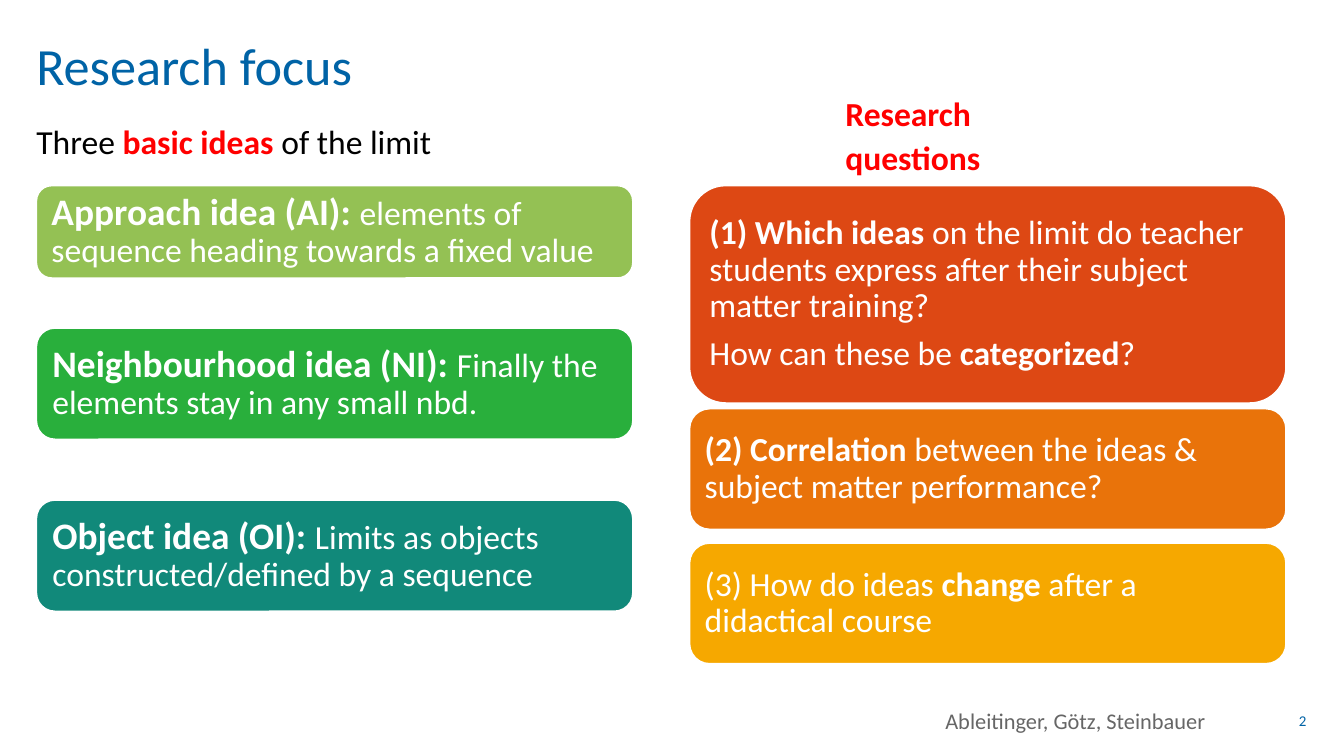
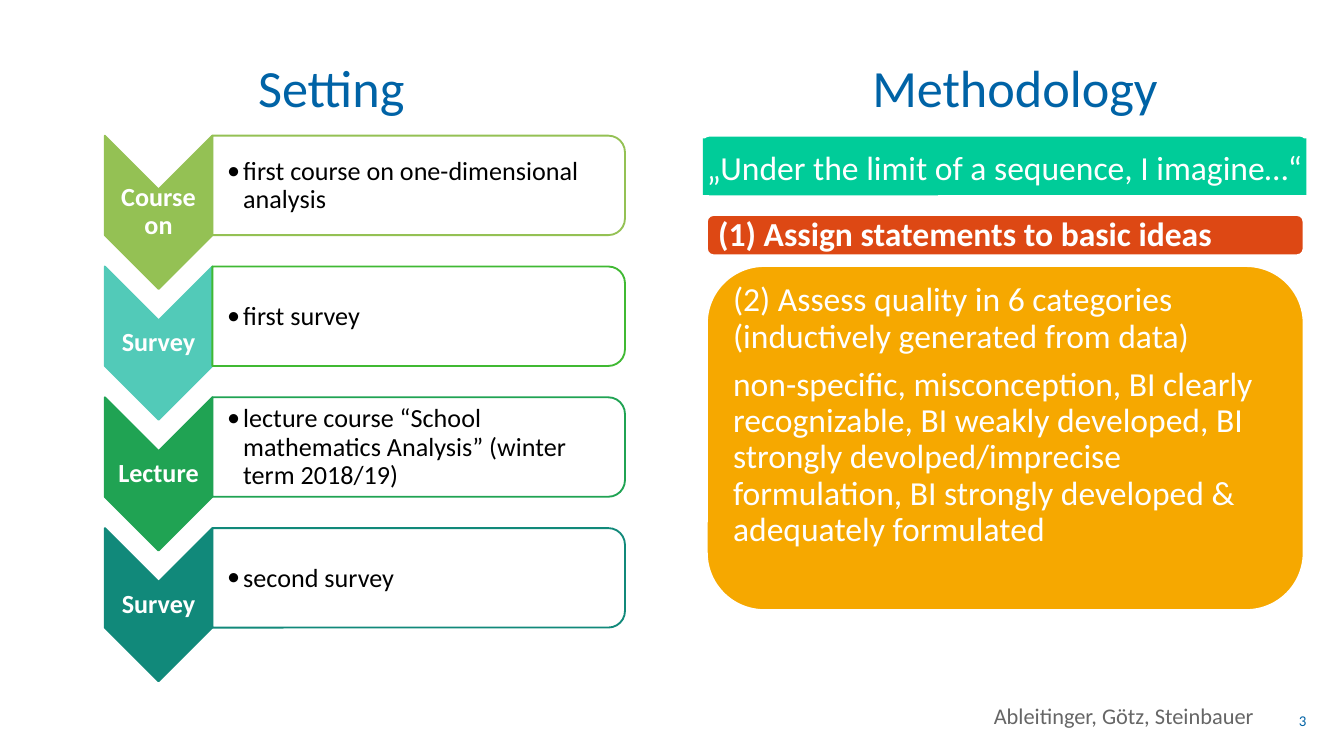
from dataclasses import dataclass

from lxml import etree
from pptx import Presentation
from pptx.dml.color import RGBColor
from pptx.enum.shapes import MSO_SHAPE
from pptx.enum.text import MSO_ANCHOR, MSO_AUTO_SIZE, PP_ALIGN
from pptx.oxml.ns import qn
from pptx.util import Inches, Pt

LEFT, CENTER, RIGHT = PP_ALIGN.LEFT, PP_ALIGN.CENTER, PP_ALIGN.RIGHT
TOP, MIDDLE = MSO_ANCHOR.TOP, MSO_ANCHOR.MIDDLE
ROUNDED, RECTANGLE = MSO_SHAPE.ROUNDED_RECTANGLE, MSO_SHAPE.RECTANGLE
CHEVRON, PANEL = MSO_SHAPE.CHEVRON, MSO_SHAPE.ROUND_2_SAME_RECTANGLE


@dataclass(frozen=True)
class Theme:
    font: str = "Calibri"
    blue: str = "0063A6"
    black: str = "000000"
    white: str = "FFFFFF"
    red: str = "FF0000"
    gray: str = "666666"
    lime: str = "94C154"
    green: str = "29AF3C"
    leaf: str = "40B933"
    emerald: str = "20A353"
    aqua: str = "52CAB8"
    teal: str = "11897A"
    mint: str = "00CC99"
    vermilion: str = "DD4814"
    orange: str = "E9730A"
    amber: str = "F6A800"
    title_size: int = 28
    lead_size: int = 20
    body_size: int = 18
    step_size: int = 14
    footer_size: int = 12
    number_size: int = 8


THEME = Theme()
BOLD = {"bold": True}
LEAD = {"bold": True, "size": THEME.lead_size}
ACCENT = {"bold": True, "color": THEME.red}

# Content: a paragraph is a list of (text, format) runs
AUTHORS = "Ableitinger, Götz, Steinbauer"

IDEAS_HEADING = [("Three ", {}), ("basic ideas ", ACCENT), ("of the limit", {})]
QUESTIONS_HEADING = [("Research questions", ACCENT)]

# Cards: top, height, colour, paragraphs
IDEAS = [
    (1.38, 0.69, THEME.lime, [[
        ("Approach idea (AI): ", LEAD),
        ("elements of sequence heading towards a fixed value", {})]]),
    (2.44, 0.83, THEME.green, [[
        ("Neighbourhood idea (NI): ", LEAD),
        ("Finally the elements stay in any small nbd.", {})]]),
    (3.72, 0.83, THEME.teal, [[
        ("Object idea (OI): ", LEAD),
        ("Limits as objects constructed/defined by a sequence", {})]]),
]
QUESTIONS = [
    (1.38, 1.62, THEME.vermilion, [
        [("(1) Which ideas ", BOLD),
         ("on the limit do teacher students express after their subject "
          "matter training?", {})],
        [("How can these be ", {}), ("categorized", BOLD), ("?", {})]]),
    (3.04, 0.9, THEME.orange, [[
        ("(2) Correlation ", BOLD),
        ("between the ideas & subject matter performance?", {})]]),
    (4.04, 0.9, THEME.amber, [[
        ("(3) How do ideas ", {}), ("change ", BOLD),
        ("after a didactical course", {})]]),
]

# Steps: label, description, chevron colour, panel outline
STEPS = [
    ("Course on", "first course on one-dimensional analysis",
     THEME.lime, THEME.lime),
    ("Survey", "first survey", THEME.aqua, THEME.leaf),
    ("Lecture", "lecture course “School mathematics Analysis” (winter term 2018/19)",
     THEME.emerald, THEME.emerald),
    ("Survey", "second survey", THEME.teal, THEME.teal),
]
PROMPT = "„Under the limit of a sequence, I imagine…“"
ASSIGN = [[("(1) Assign statements to basic ideas", BOLD)]]
ASSESS = [
    [("(2) Assess quality in 6 categories (inductively generated from data)", {})],
    [("non-specific, misconception, BI clearly recognizable, BI weakly developed, "
      "BI strongly devolped/imprecise formulation, BI strongly developed & "
      "adequately formulated", {})],
]

# Layout in inches
CARD_WIDTH = 4.44
STEP_LEFT, STEP_TOP, STEP_PITCH = 0.78, 1.01, 2.92 / 3


def rgb(color):
    return RGBColor.from_string(color)


def write(shape, paragraphs, size=THEME.body_size, color=THEME.black, align=LEFT,
          anchor=TOP, insets=(0, 0, 0, 0), line_spacing=None, after=0):
    """Fill a shape with paragraphs; run formats override size and colour."""
    frame = shape.text_frame
    frame.word_wrap = True
    frame.auto_size = MSO_AUTO_SIZE.NONE
    frame.vertical_anchor = anchor
    (frame.margin_left, frame.margin_top,
     frame.margin_right, frame.margin_bottom) = map(Inches, insets)
    for index, runs in enumerate(paragraphs):
        paragraph = frame.add_paragraph() if index else frame.paragraphs[0]
        paragraph.alignment = align
        paragraph.line_spacing = line_spacing
        paragraph.space_before = Pt(0)
        paragraph.space_after = Pt(after)
        for text, style in runs:
            run = paragraph.add_run()
            run.text = text
            run.font.name = THEME.font
            run.font.size = Pt(style.get("size", size))
            run.font.bold = style.get("bold", False)
            run.font.color.rgb = rgb(style.get("color", color))


def add_text(slide, box, paragraphs, **style):
    shape = slide.shapes.add_textbox(*map(Inches, box))
    write(shape, paragraphs, **style)
    return shape


def add_block(slide, kind, box, fill, line=None):
    shape = slide.shapes.add_shape(kind, *map(Inches, box))
    shape.shadow.inherit = False
    shape.fill.solid()
    shape.fill.fore_color.rgb = rgb(fill)
    if line:
        shape.line.color.rgb = rgb(line)
        shape.line.width = Pt(1)
    else:
        shape.line.fill.background()
    return shape


def add_turned(slide, kind, box, fill, line):
    """Add a shape turned by 90 degrees that covers the given box."""
    left, top, width, height = box
    shift = (width - height) / 2
    shape = add_block(slide, kind, (left + shift, top - shift, height, width), fill, line)
    shape.rotation = 90
    return shape


def add_card(slide, box, color, paragraphs, inset=0.07, anchor=MIDDLE, top_inset=None):
    card = add_block(slide, ROUNDED, box, color, THEME.white)
    top = inset if top_inset is None else top_inset
    write(card, paragraphs, color=THEME.white, anchor=anchor,
          insets=(inset, top, inset, inset), line_spacing=0.9, after=6.3)


def set_opacity(shape, percent):
    color = shape.fill._xPr.find(qn("a:solidFill"))[0]
    etree.SubElement(color, qn("a:alpha")).set("val", str(percent * 1000))


def set_bullet(paragraph, indent):
    properties = paragraph._p.get_or_add_pPr()
    properties.set("marL", str(Inches(indent)))
    properties.set("indent", str(-Inches(indent)))
    etree.SubElement(properties, qn("a:buFont")).set("typeface", THEME.font)
    etree.SubElement(properties, qn("a:buChar")).set("char", "•")


def write_title(shape, text):
    write(shape, [[(text, {})]], size=THEME.title_size, color=THEME.blue,
          line_spacing=Pt(31))


def start_slide(presentation, title, title_box, number, footer_box):
    """Add a slide with the shared title style, footer and slide number."""
    slide = presentation.slides.add_slide(presentation.slide_layouts[5])
    shape = slide.shapes.title
    shape.left, shape.top, shape.width, shape.height = map(Inches, title_box)
    write_title(shape, title)
    add_text(slide, footer_box, [[(AUTHORS, {})]], size=THEME.footer_size,
             color=THEME.gray, align=RIGHT, anchor=MIDDLE)
    add_text(slide, (9.33, 5.21, 0.39, 0.3), [[(number, {})]],
             size=THEME.number_size, color=THEME.blue, align=RIGHT, anchor=MIDDLE,
             insets=(0.1, 0.05, 0, 0.05))
    return slide


def build_focus(presentation):
    slide = start_slide(presentation, "Research focus", (0.27, 0.28, 2.52, 0.5),
                        "2", (1.38, 5.21, 7.59, 0.3))
    # Column headings
    for box, runs in [((0.27, 0.87, 4.25, 0.42), IDEAS_HEADING),
                      ((6.29, 0.66, 1.97, 0.42), QUESTIONS_HEADING)]:
        add_text(slide, box, [runs], line_spacing=1.1, after=3.8)
    # Card columns
    for left, inset, cards in [(0.27, 0.08, IDEAS), (5.13, 0.07, QUESTIONS)]:
        for top, height, color, paragraphs in cards:
            add_card(slide, (left, top, CARD_WIDTH, height), color, paragraphs, inset)


def build_setting(presentation):
    slide = start_slide(presentation, "Setting", (1.92, 0.45, 1.59, 0.42),
                        "3", (1.74, 5.21, 7.59, 0.23))
    # Survey steps
    for index, (label, description, color, outline) in enumerate(STEPS):
        top = STEP_TOP + index * STEP_PITCH
        add_turned(slide, CHEVRON, (STEP_LEFT, top, 0.8, 1.14), color, color)
        add_text(slide, (STEP_LEFT, top + 0.4, 0.8, 0.34), [[(label, BOLD)]],
                 size=THEME.step_size, color=THEME.white, align=CENTER,
                 anchor=MIDDLE, insets=(0.01,) * 4, line_spacing=0.9)
        panel = add_turned(slide, PANEL, (1.58, top, 3.07, 0.74), THEME.white, outline)
        set_opacity(panel, 90)
        text = add_text(slide, (1.58, top + 0.04, 3.03, 0.67), [[(description, {})]],
                        size=THEME.step_size, anchor=MIDDLE,
                        insets=(0.11, 0.01, 0.01, 0.01), line_spacing=0.9, after=2.1)
        set_bullet(text.text_frame.paragraphs[0], 0.12)

    # Methodology heading and prompt
    heading = slide.shapes.add_textbox(*map(Inches, (6.49, 0.45, 2.28, 0.42)))
    write_title(heading, "Methodology")
    backing = add_block(slide, ROUNDED, (5.23, 1.01, 4.49, 0.45), THEME.mint, THEME.white)
    backing.adjustments[0] = 0.1
    banner = add_block(slide, RECTANGLE, (5.23, 1.03, 4.49, 0.42), THEME.mint)
    write(banner, [[(PROMPT, {})]], color=THEME.white, anchor=MIDDLE,
          insets=(0.03, 0.02, 0.01, 0.02))

    # Analysis cards
    add_card(slide, (5.26, 1.6, CARD_WIDTH, 0.3), THEME.vermilion, ASSIGN)
    add_card(slide, (5.26, 1.98, CARD_WIDTH, 2.56), THEME.amber, ASSESS,
             anchor=TOP, top_inset=0)


def main():
    presentation = Presentation()
    presentation.slide_width = Inches(10)
    presentation.slide_height = presentation.slide_width * 9 // 16
    build_focus(presentation)
    build_setting(presentation)
    presentation.save("out.pptx")


if __name__ == "__main__":
    main()
